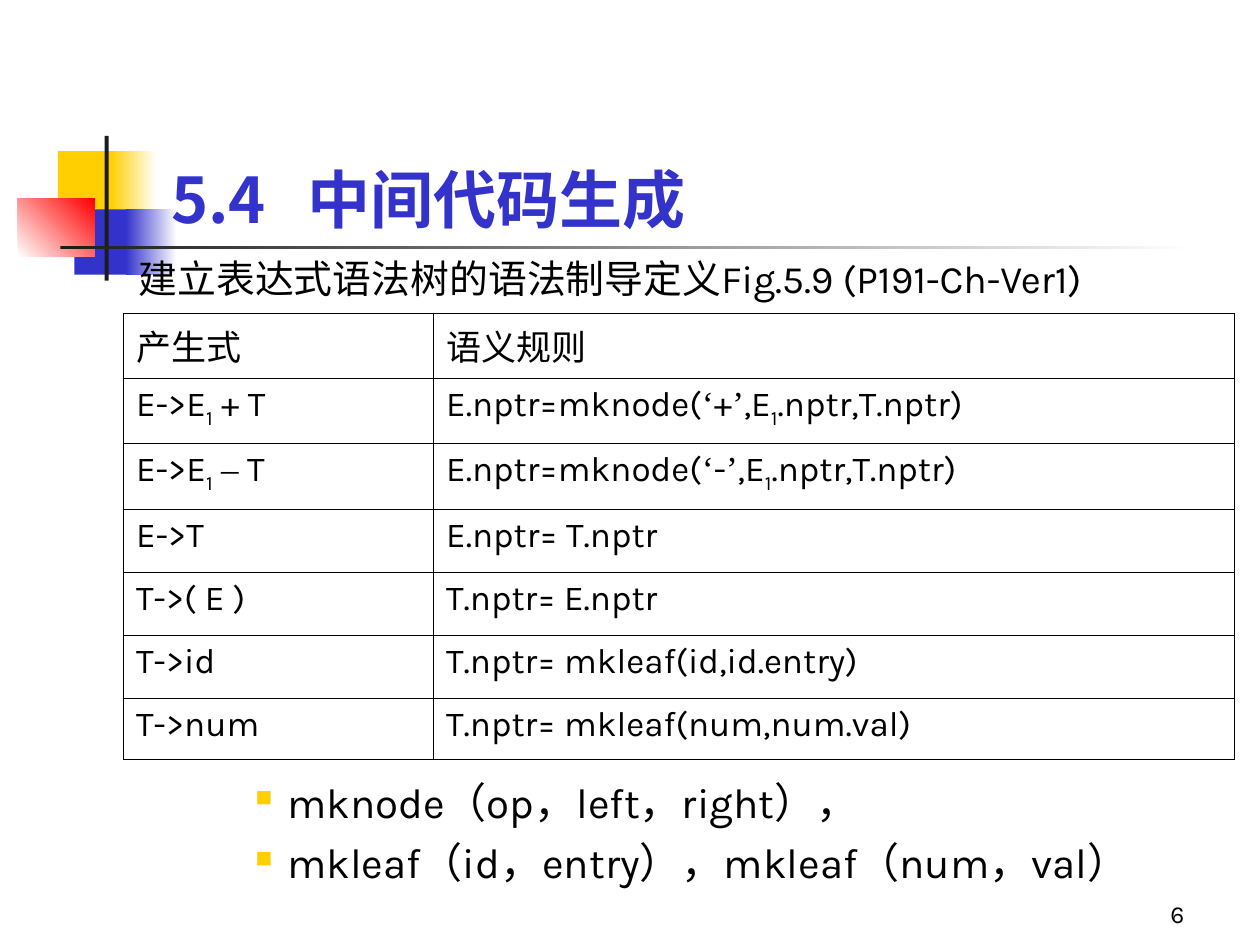
from dataclasses import dataclass
from itertools import groupby

from lxml.etree import SubElement
from pptx import Presentation
from pptx.dml.color import RGBColor
from pptx.enum.shapes import MSO_SHAPE
from pptx.enum.text import MSO_ANCHOR, MSO_AUTO_SIZE, PP_ALIGN
from pptx.oxml import parse_xml
from pptx.oxml.ns import nsdecls, qn
from pptx.util import Cm, Pt


@dataclass(frozen=True)
class Theme:
    """Colours, fonts and type sizes of the deck."""
    ink: str = "000000"
    dark: str = "1C1C1C"
    paper: str = "FFFFFF"
    blue: str = "3333CC"
    yellow: str = "FFCF01"
    red: str = "FF0000"
    latin: str = "Karla"
    chinese: str = "Noto Sans CJK SC"
    serif: str = "Times New Roman"
    title: float = 36
    lead: float = 22.2
    calls: float = 24
    cell: float = 20
    number: float = 14
    outer_line: float = 1.08
    inner_line: float = 0.45


THEME = Theme()
RULES = [
    ("产生式", "语义规则"),
    ("E->E₁ + T", "E.nptr=mknode(‘+’,E₁.nptr,T.nptr)"),
    ("E->E₁ – T", "E.nptr=mknode(‘-’,E₁.nptr,T.nptr)"),
    ("E->T", "E.nptr= T.nptr"),
    ("T->( E )", "T.nptr= E.nptr"),
    ("T->id", "T.nptr= mkleaf(id,id.entry)"),
    ("T->num", "T.nptr= mkleaf(num,num.val)"),
]
CALLS = ["mknode（op，left，right），", "mkleaf（id，entry），mkleaf（num，val）"]


def set_values(target, values):
    """Set each attribute named in a dict of format values."""
    for name, value in values.items():
        setattr(target, name, value)


def place(shape, box):
    """Move a shape to a box of left, top, width and height in centimetres."""
    set_values(shape, dict(zip(("left", "top", "width", "height"), map(Cm, box))))


def add_span(para, text, size, color=THEME.ink, font=THEME.latin, bold=False):
    """Append a formatted run to a paragraph and return it."""
    span = para.add_run()
    span.text = text
    set_values(span.font, {"name": font, "size": Pt(size), "bold": bold})
    span.font.color.rgb = RGBColor.from_string(color)
    SubElement(span.font._element, qn("a:ea"), typeface=THEME.chinese)
    return span


def open_frame(shape, anchor=MSO_ANCHOR.TOP):
    """Prepare a wrapping text frame and return it."""
    frame = shape.text_frame
    set_values(frame, {"word_wrap": True, "auto_size": MSO_AUTO_SIZE.NONE,
                       "vertical_anchor": anchor})
    return frame


def indent(para, level, left, hanging):
    """Give a paragraph its level and hanging indent and return its properties."""
    set_values(para, {"level": level, "space_before": Pt(0)})
    properties = para._p.get_or_add_pPr()
    properties.set("marL", str(Cm(left)))
    properties.set("indent", str(-Cm(hanging)))
    return properties


def add_ornament(page, box):
    """Place the coloured squares and crossing bars behind the title."""
    left, top = box
    parts = [
        ((0.81, 0.31, 1.22, 1.32), THEME.yellow, None, 0),
        ((1.88, 0.31, 0.91, 1.32), THEME.yellow, THEME.paper, 0),
        ((1.14, 1.48, 1.17, 1.32), THEME.blue, None, 0),
        ((2.18, 1.48, 1.02, 1.32), THEME.blue, THEME.paper, 0),
        ((0, 1.27, 1.55, 1.17), THEME.paper, THEME.red, 45),
        ((1.75, 0, 0.08, 2.92), THEME.dark, None, 0),
        ((0.86, 2.21, 22.86, 0.08), THEME.dark, THEME.paper, 0),
    ]
    for (x, y, width, height), start, end, angle in parts:
        shape = page.shapes.add_shape(MSO_SHAPE.RECTANGLE, 0, 0, 0, 0)
        place(shape, (left + x, top + y, width, height))
        shape.shadow.inherit = False
        shape.line.fill.background()
        if end:
            shape.fill.gradient()
            shape.fill.gradient_angle = angle
            for stop, color in zip(shape.fill.gradient_stops, (start, end)):
                stop.color.rgb = RGBColor.from_string(color)
        else:
            shape.fill.solid()
            shape.fill.fore_color.rgb = RGBColor.from_string(start)
        page.shapes.title.element.addprevious(shape.element)


def fill_title(page, box):
    """Place the section number and heading in the title placeholder."""
    title = page.shapes.title
    place(title, box)
    para = open_frame(title, MSO_ANCHOR.BOTTOM).paragraphs[0]
    para.alignment = PP_ALIGN.LEFT
    tabs = SubElement(para._p.get_or_add_pPr(), qn("a:tabLst"))
    SubElement(tabs, qn("a:tab"), pos=str(Cm(2.74)), algn="l")
    add_span(para, "5.4\t中间代码生成", THEME.title, THEME.blue, THEME.chinese, True)


def fill_lead(page, box):
    """Place the line that introduces the table in the body placeholder."""
    body = page.placeholders[1]
    place(body, box)
    para = open_frame(body).paragraphs[0]
    SubElement(indent(para, 2, 3.18, 0.64), qn("a:buNone"))
    add_span(para, "建立表达式语法树的语法制导定义Fig.5.9 (P191-Ch-Ver1)", THEME.lead)


def character_style(character):
    """Tell subscripts and serif marks from plain characters."""
    return {"₁": "subscript", "‘": "serif", "’": "serif", "–": "serif"}.get(character, "plain")


def fill_cell(cell, text, widths):
    """Write one table cell and draw its four borders."""
    cell.fill.background()
    para = cell.text_frame.paragraphs[0]
    for style, characters in groupby(text, character_style):
        font = THEME.serif if style == "serif" else THEME.latin
        span = add_span(para, "".join(characters).replace("₁", "1"), THEME.cell, font=font)
        if style == "subscript":
            span.font._element.set("baseline", "-25000")
    properties = cell._tc.get_or_add_tcPr()
    for position, (side, width) in enumerate(widths.items()):
        properties.insert(position, parse_xml(
            f'<a:ln{side} {nsdecls("a")} w="{Pt(width)}"><a:solidFill>'
            f'<a:srgbClr val="{THEME.ink}"/></a:solidFill></a:ln{side}>'))


def add_rules(page, box):
    """Place the table of productions and semantic rules."""
    heights = (1.3, 1.32, 1.32, 1.27, 1.27, 1.27, 1.24)
    frame = page.shapes.add_table(len(RULES), 2, *map(Cm, box))
    table = frame.table
    set_values(table, {"first_row": False, "horz_banding": False})
    for column, width in zip(table.columns, (6.25, 16.15)):
        column.width = Cm(width)
    for row, height in zip(table.rows, heights):
        row.height = Cm(height)
    for row, texts in enumerate(RULES):
        for column, text in enumerate(texts):
            edges = {"L": column == 0, "R": column == 1,
                     "T": row == 0, "B": row == len(RULES) - 1}
            widths = {side: THEME.outer_line if outer else THEME.inner_line
                      for side, outer in edges.items()}
            fill_cell(table.cell(row, column), text, widths)


def add_calls(page, box):
    """Place the bulleted list of constructor calls."""
    frame = open_frame(page.shapes.add_textbox(*map(Cm, box)))
    for position, call in enumerate(CALLS):
        para = frame.add_paragraph() if position else frame.paragraphs[0]
        properties = indent(para, 3, 4.45, 0.64)
        if position:
            para.space_before = Pt(6)
        color = SubElement(properties, qn("a:buClr"))
        SubElement(color, qn("a:srgbClr"), val=THEME.yellow)
        SubElement(properties, qn("a:buSzPct"), val="55000")
        SubElement(properties, qn("a:buChar"), char="■")
        add_span(para, call, THEME.calls)


def add_number(page, box):
    """Place the page number."""
    frame = open_frame(page.shapes.add_textbox(*map(Cm, box)), MSO_ANCHOR.BOTTOM)
    para = frame.paragraphs[0]
    para.alignment = PP_ALIGN.RIGHT
    add_span(para, "6", THEME.number)


def main():
    """Build the slide and save the deck."""
    deck = Presentation()
    set_values(deck, {"slide_width": Cm(25.4), "slide_height": Cm(19.05)})
    page = deck.slides.add_slide(deck.slide_layouts[1])
    add_ornament(page, (0.36, 2.74))
    fill_title(page, (3.2, 1.7, 21.64, 3.18))
    fill_lead(page, (0, 5, 24.31, 1.52))
    add_number(page, (18.85, 17.58, 5.28, 1.27))
    add_calls(page, (1.09, 15.52, 22.61, 2.79))
    add_rules(page, (2.49, 6.32, 22.4, 8.99))
    deck.save("out.pptx")


if __name__ == "__main__":
    main()
